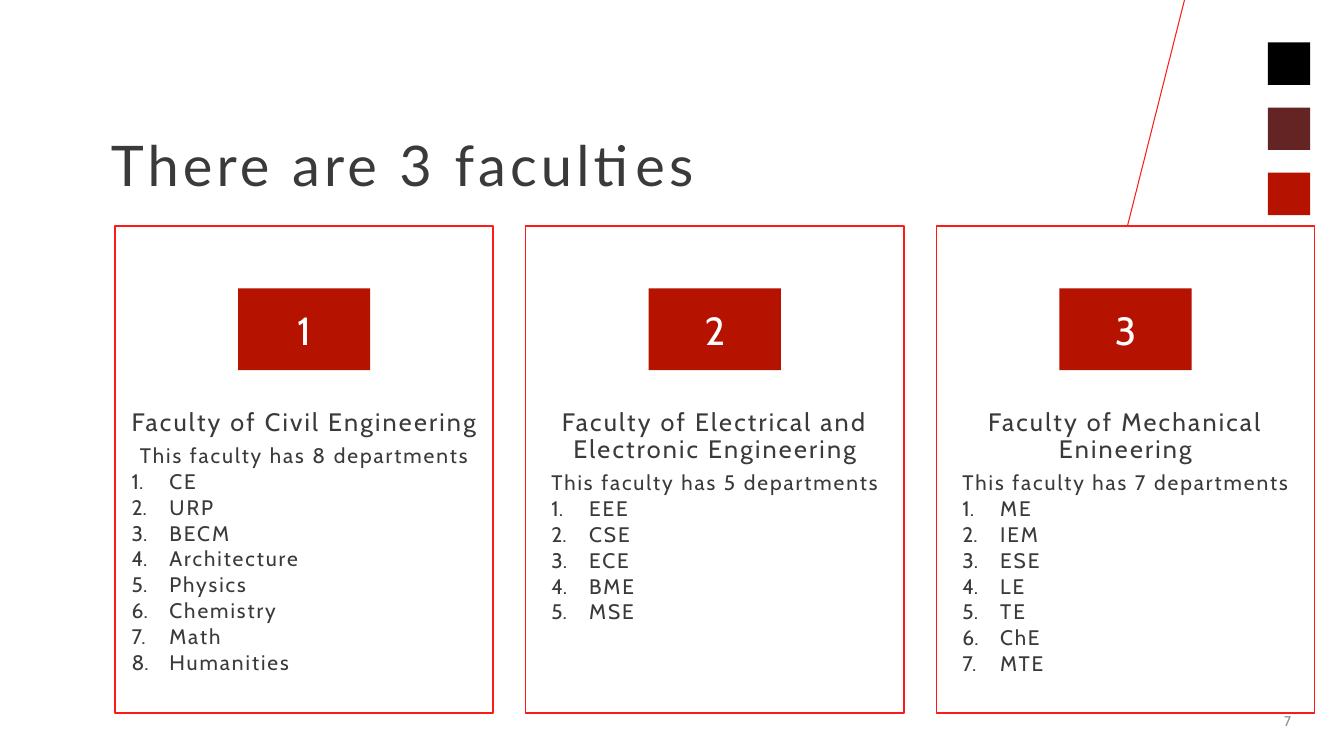
"""Build the slide that lists three faculties and their departments."""
from lxml.etree import SubElement
from pptx import Presentation
from pptx.dml.color import RGBColor
from pptx.enum.shapes import MSO_CONNECTOR, MSO_SHAPE
from pptx.enum.text import MSO_ANCHOR, PP_ALIGN
from pptx.oxml.ns import qn
from pptx.util import Cm, Pt

COLORS = {
    "black": "000000",
    "maroon": "632423",
    "red": "B51200",
    "outline": "FD1B17",
    "white": "FFFFFF",
    "text": "3A3A3A",
    "grey": "898989",
}
FACULTIES = [
    ("Faculty of Civil Engineering",
     ["CE", "URP", "BECM", "Architecture", "Physics", "Chemistry", "Math", "Humanities"]),
    ("Faculty of Electrical and Electronic Engineering",
     ["EEE", "CSE", "ECE", "BME", "MSE"]),
    ("Faculty of Mechanical Enineering",
     ["ME", "IEM", "ESE", "LE", "TE", "ChE", "MTE"]),
]


def add_rectangle(left, top, width, height, fill):
    """Add a plain filled rectangle, with lengths in centimetres."""
    rectangle = slide.shapes.add_shape(
        MSO_SHAPE.RECTANGLE, Cm(left), Cm(top), Cm(width), Cm(height))
    rectangle.shadow.inherit = False
    rectangle.fill.solid()
    rectangle.fill.fore_color.rgb = RGBColor.from_string(COLORS[fill])
    rectangle.line.fill.background()
    return rectangle


def write(paragraph, text, size, color, align, tracking=0, name="Cabin"):
    """Fill a paragraph with styled text; tracking is in points."""
    paragraph.text = text
    paragraph.alignment = align
    font = paragraph.font
    font.name = name
    font.size = Pt(size)
    font.color.rgb = RGBColor.from_string(COLORS[color])
    if tracking:
        paragraph.line_spacing = 0.9
        font._element.set("spc", str(round(tracking * 100)))


deck = Presentation()
deck.slide_width, deck.slide_height = Cm(33.87), Cm(19.05)
slide = deck.slides.add_slide(deck.slide_layouts[5])

for row, color in enumerate(["black", "maroon", "red"]):
    add_rectangle(31.95, 1.07 + 1.64 * row, 1.07, 1.07, color)

diagonal = slide.shapes.add_connector(
    MSO_CONNECTOR.STRAIGHT, Cm(29.85), Cm(0), Cm(25.58), Cm(16.92))
diagonal.line.color.rgb = RGBColor.from_string(COLORS["outline"])
diagonal.line.width = Pt(0.75)
SubElement(diagonal._element.spPr, qn("a:effectLst"))

title = slide.shapes.title
title.left, title.top, title.width, title.height = Cm(2.54), Cm(2.74), Cm(23.47), Cm(3)
title.text_frame.vertical_anchor = MSO_ANCHOR.MIDDLE
write(title.text_frame.paragraphs[0], "There are 3 faculties", 40, "text",
      PP_ALIGN.LEFT, 3, "Lato")

for column, (faculty, departments) in enumerate(FACULTIES):
    left = 2.9 + 10.35 * column
    card = add_rectangle(left, 5.7, 9.53, 12.27, "white")
    card.line.color.rgb = RGBColor.from_string(COLORS["outline"])
    card.line.width = Pt(1)
    frame = card.text_frame
    frame.word_wrap = True
    frame.vertical_anchor = MSO_ANCHOR.TOP
    frame._txBody.bodyPr.set("anchorCtr", "1")
    frame.margin_left = frame.margin_right = Cm(0.38)
    frame.margin_top, frame.margin_bottom = Cm(4.62), Cm(2.49)

    heading = frame.paragraphs[0]
    heading.space_after = Pt(6.3)
    write(heading, faculty, 18, "text", PP_ALIGN.CENTER, 1.6)
    summary = frame.add_paragraph()
    summary.space_after = Pt(2.2)
    write(summary, f"This faculty has {len(departments)} departments", 15, "text",
          PP_ALIGN.CENTER, 1.4)
    for department in departments:
        item = frame.add_paragraph()
        item.space_after = Pt(2.2)
        properties = item._p.get_or_add_pPr()
        properties.set("marL", str(Cm(0.95)))
        properties.set("indent", str(-Cm(0.95)))
        SubElement(properties, qn("a:buFont"), typeface="+mj-lt")
        SubElement(properties, qn("a:buAutoNum"), type="arabicPeriod")
        write(item, department, 15, "text", PP_ALIGN.LEFT, 1.4)

    badge = add_rectangle(left + 3.1, 7.27, 3.33, 2.06, "red")
    badge.text_frame.vertical_anchor = MSO_ANCHOR.MIDDLE
    write(badge.text_frame.paragraphs[0], str(column + 1), 28, "white", PP_ALIGN.CENTER)

page_number = slide.shapes.add_textbox(Cm(28.52), Cm(17.65), Cm(4.27), Cm(1.02))
page_number.text_frame.word_wrap = True
page_number.text_frame.vertical_anchor = MSO_ANCHOR.MIDDLE
write(page_number.text_frame.paragraphs[0], "7", 10, "grey", PP_ALIGN.RIGHT)

deck.save("out.pptx")
